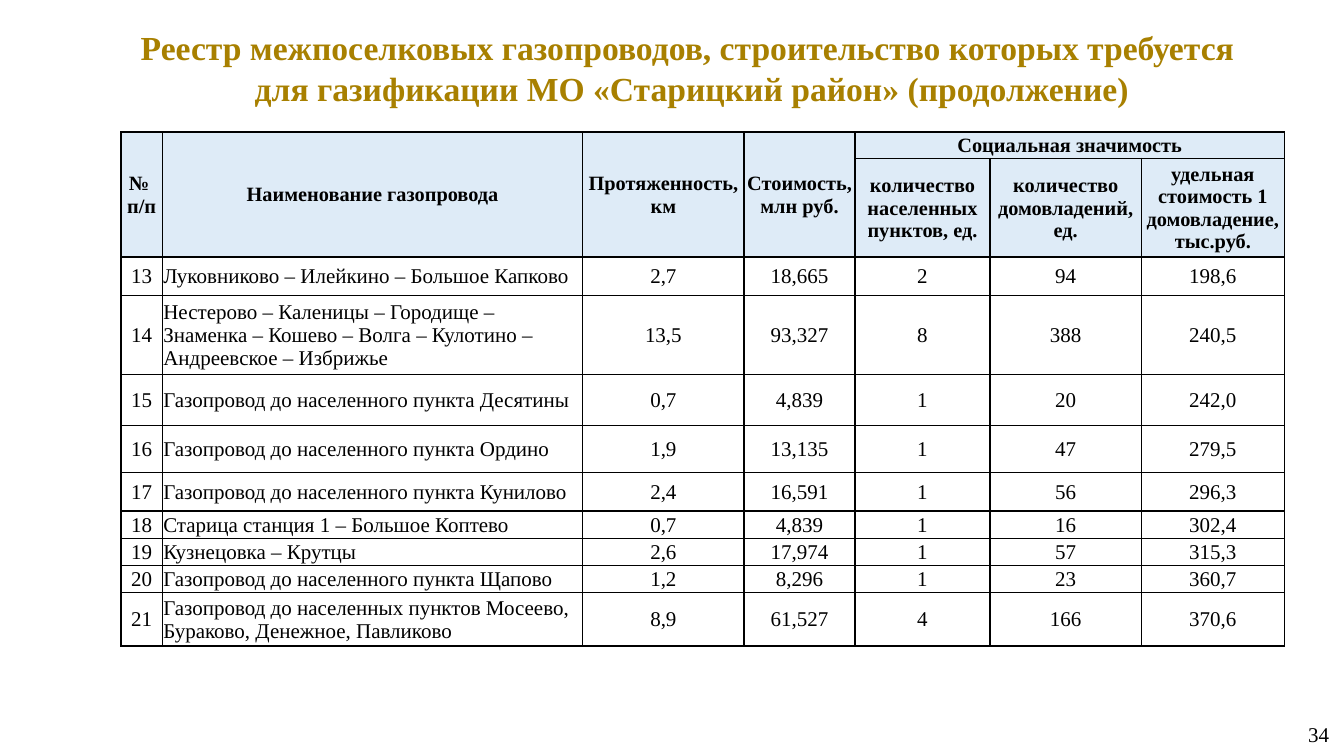
import pptx
import pptx.dml.color
import pptx.enum.text
import pptx.oxml
import pptx.oxml.ns
import pptx.util

ALIGN = pptx.enum.text.PP_ALIGN
MIDDLE = pptx.enum.text.MSO_ANCHOR.MIDDLE
inch = pptx.util.Inches


def rgb(value):
    return pptx.dml.color.RGBColor.from_string(value)


def write(tf, text, align, size, bold=False, color="000000"):
    for i, line in enumerate(text.split("|")):
        p = tf.add_paragraph() if i else tf.paragraphs[0]
        p.text = line
        p.alignment = align
        p.font.color.rgb = rgb(color)
        for r in p.runs:
            font = {"name": "Times New Roman", "size": pptx.util.Pt(size), "bold": bold}
            for key, value in font.items():
                setattr(r.font, key, value)
            r.font.color.rgb = rgb(color)


prs = pptx.Presentation()
prs.slide_width, prs.slide_height = inch(13.33), inch(7.5)
s = prs.slides.add_slide(prs.slide_layouts[6])

title = (
    "Реестр межпоселковых газопроводов, строительство которых требуется |"
    "для газификации МО «Старицкий район» (продолжение)"
)
for box, text, align, size, bold, color, anchor in [
    ((0.98, 0.22, 11.76, 0.91), title, ALIGN.CENTER, 24, True, "A88000", pptx.enum.text.MSO_ANCHOR.TOP),
    ((10.57, 6.98, 2.71, 0.61), "34", ALIGN.RIGHT, 15, False, "000000", MIDDLE),
]:
    tf = s.shapes.add_textbox(*map(inch, box)).text_frame
    tf.word_wrap = True
    tf.vertical_anchor = anchor
    write(tf, text, align, size, bold, color)

cols = [0.41, 4.17, 1.6, 1.1, 1.34, 1.5, 1.42]
heights = [0.26, 0.98, 0.38, 0.79, 0.5, 0.47, 0.38, 0.27, 0.27, 0.27, 0.53]
rows = [
    ["№ \nп/п", "Наименование газопровода", "Протяженность, км", "Стоимость, млн руб.",
     "Социальная значимость", "", ""],
    ["", "", "", "", "количество населенных пунктов, ед.", "количество|домовладений, ед.",
     "удельная стоимость 1 домовладение, тыс.руб."],
    ["13", "Луковниково – Илейкино – Большое Капково", "2,7", "18,665", "2", "94", "198,6"],
    ["14", "Нестерово – Каленицы – Городище – Знаменка – Кошево – Волга – Кулотино – "
     "Андреевское – Избрижье", "13,5", "93,327", "8", "388", "240,5"],
    ["15", "Газопровод до населенного пункта Десятины", "0,7", "4,839", "1", "20", "242,0"],
    ["16", "Газопровод до населенного пункта Ордино", "1,9", "13,135", "1", "47", "279,5"],
    ["17", "Газопровод до населенного пункта Кунилово", "2,4", "16,591", "1", "56", "296,3"],
    ["18", "Старица станция 1 – Большое Коптево", "0,7", "4,839", "1", "16", "302,4"],
    ["19", "Кузнецовка – Крутцы", "2,6", "17,974", "1", "57", "315,3"],
    ["20", "Газопровод до населенного пункта Щапово", "1,2", "8,296", "1", "23", "360,7"],
    ["21", "Газопровод до населенных пунктов Мосеево, Бураково, Денежное, Павликово",
     "8,9", "61,527", "4", "166", "370,6"],
]
table = s.shapes.add_table(
    len(rows), len(cols), inch(1.2), inch(1.31), inch(sum(cols)), inch(sum(heights))
).table
for column, width in zip(table.columns, cols):
    column.width = inch(width)
for row, height in zip(table.rows, heights):
    row.height = inch(height)

cell_format = {
    "margin_left": inch(0.01),
    "margin_right": inch(0.01),
    "margin_top": inch(0.01),
    "margin_bottom": 0,
    "vertical_anchor": MIDDLE,
}
for i, row in enumerate(rows):
    header = i < 2
    for j, text in enumerate(row):
        cell = table.cell(i, j)
        for key, value in cell_format.items():
            setattr(cell, key, value)
        if header:
            cell.fill.solid()
            cell.fill.fore_color.rgb = rgb("DEEBF7")
        else:
            cell.fill.background()
        align = ALIGN.LEFT if j == 1 and not header else ALIGN.CENTER
        if text:
            write(cell.text_frame, text, align, 14.5 if header else 15, header)
        tc_pr = cell._tc.get_or_add_tcPr()
        for k, side in enumerate(["lnL", "lnR", "lnT", "lnB"]):
            tc_pr.insert(k, pptx.oxml.parse_xml(
                f'<a:{side} {pptx.oxml.ns.nsdecls("a")} w="12700"><a:solidFill>'
                f'<a:srgbClr val="000000"/></a:solidFill></a:{side}>'
            ))

for j in range(4):
    table.cell(0, j).merge(table.cell(1, j))
table.cell(0, 4).merge(table.cell(0, 6))

prs.save("out.pptx")
